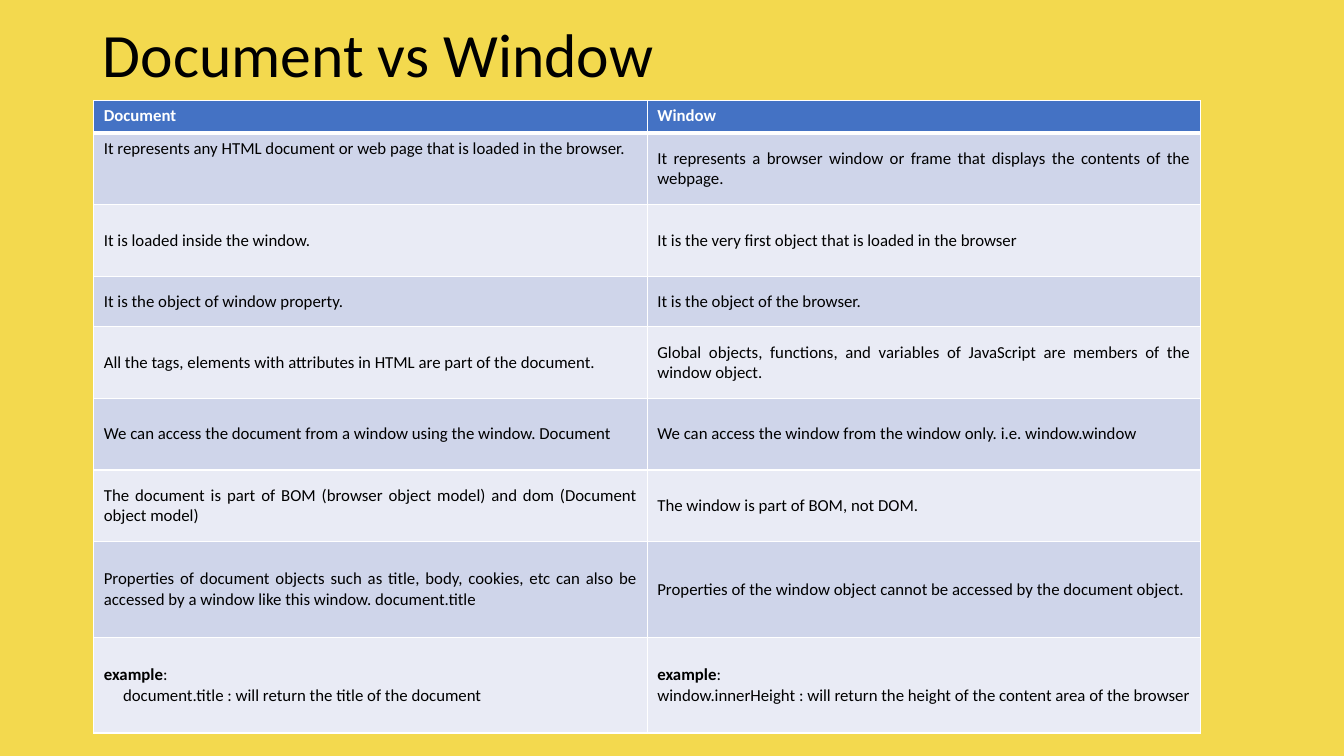
from lxml.etree import SubElement
from pptx import Presentation
from pptx.dml.color import RGBColor
from pptx.enum.text import MSO_ANCHOR, PP_ALIGN
from pptx.oxml.ns import qn
from pptx.util import Pt

PX = 9144
COLORS = {
    "back": "F3D94E",
    "head": "4472C4",
    "odd": "CFD5EA",
    "even": "E9EBF5",
    "white": "FFFFFF",
    "black": "000000",
}
HEADS = ("Document", "Window")
FACTS = [
    ("It represents any HTML document or web page that is loaded in the browser.",
     "It represents a browser window or frame that displays the contents of the webpage."),
    ("It is loaded inside the window.",
     "It is the very first object that is loaded in the browser"),
    ("It is the object of window property.",
     "It is the object of the browser."),
    ("All the tags, elements with attributes in HTML are part of the document.",
     "Global objects, functions, and variables of JavaScript are members of the window object."),
    ("We can access the document from a window using the window. Document",
     "We can access the window from the window only. i.e. window.window"),
    ("The document is part of BOM (browser object model) and dom (Document object model)",
     "The window is part of BOM, not DOM."),
    ("Properties of document objects such as title, body, cookies, etc can also be accessed "
     "by a window like this window. document.title",
     "Properties of the window object cannot be accessed by the document object."),
]
SAMPLES = (
    ("document.title : will return the title of the document", 19),
    ("window.innerHeight : will return the height of the content area of the browser", 0),
)
ROWS = [32, 71, 71, 47, 71, 71, 71, 95, 95]


class Deck:
    """Holds the style and the current slide, and draws each kind of element."""

    def __init__(self, width, height):
        self.font = "Calibri"
        self.show = Presentation()
        self.show.slide_width = width * PX
        self.show.slide_height = height * PX
        self.slide = self.show.slides.add_slide(self.show.slide_layouts[5])
        self.paint(self.slide.background.fill, "back")

    def paint(self, fill, color):
        fill.solid()
        fill.fore_color.rgb = RGBColor.from_string(COLORS[color])

    def style(self, para, size, color, bold=False):
        for run in para.runs:
            run.font.name = self.font
            run.font.size = Pt(size)
            run.font.bold = bold
            run.font.color.rgb = RGBColor.from_string(COLORS[color])

    def title(self, text, left, top, width, height):
        shape = self.slide.shapes.title
        shape.left, shape.top = left * PX, top * PX
        shape.width, shape.height = width * PX, height * PX
        frame = shape.text_frame
        frame.text = text
        frame.vertical_anchor = MSO_ANCHOR.MIDDLE
        para = frame.paragraphs[0]
        para.alignment = PP_ALIGN.LEFT
        para.line_spacing = 0.9
        self.style(para, 44, "black")

    def table(self, left, top, width, rows, cols):
        frame = self.slide.shapes.add_table(
            len(rows), cols, left * PX, top * PX, width * PX, sum(rows) * PX)
        for row, height in zip(frame.table.rows, rows):
            row.height = height * PX
        return frame.table

    def edge(self, cell, base):
        props = cell._tc.get_or_add_tcPr()
        for spot, side in enumerate("LRTB"):
            points = base if side == "B" else 1
            line = SubElement(props, qn("a:ln" + side), w=str(Pt(points)))
            fill = SubElement(line, qn("a:solidFill"))
            SubElement(fill, qn("a:srgbClr"), val=COLORS["white"])
            props.insert(spot, line)

    def cell(self, cell, text, fill, color="black", bold=False, base=1):
        cell.text_frame.text = text
        self.style(cell.text_frame.paragraphs[0], 12, color, bold)
        self.paint(cell.fill, fill)
        self.edge(cell, base)

    def pad(self, cell, align):
        cell.vertical_anchor = MSO_ANCHOR.MIDDLE
        cell.margin_top = cell.margin_bottom = 15 * PX
        for para in cell.text_frame.paragraphs:
            para.alignment = align

    def sample(self, cell, text, indent, fill):
        self.cell(cell, "example", fill, bold=True)
        first = cell.text_frame.paragraphs[0]
        first.add_run().text = ":"
        self.style(first, 12, "black")
        first.runs[0].font.bold = True
        code = cell.text_frame.add_paragraph()
        code.text = text
        self.style(code, 12, "black")
        code._p.get_or_add_pPr().set("marL", str(indent * PX))
        self.pad(cell, PP_ALIGN.LEFT)


def main():
    deck = Deck(1333, 750)
    deck.title("Document vs Window", 92, 0, 1150, 114)
    grid = deck.table(93, 100, 1098, ROWS, len(HEADS))
    for col, text in enumerate(HEADS):
        deck.cell(grid.cell(0, col), text, "head", "white", True, 3)
    for row, pair in enumerate(FACTS, 1):
        for col, text in enumerate(pair):
            cell = grid.cell(row, col)
            deck.cell(cell, text, "odd" if row % 2 else "even")
            if (row, col) != (1, 0):
                deck.pad(cell, PP_ALIGN.JUSTIFY)
    for col, (text, indent) in enumerate(SAMPLES):
        deck.sample(grid.cell(len(ROWS) - 1, col), text, indent, "even")
    deck.show.save("out.pptx")


if __name__ == "__main__":
    main()
